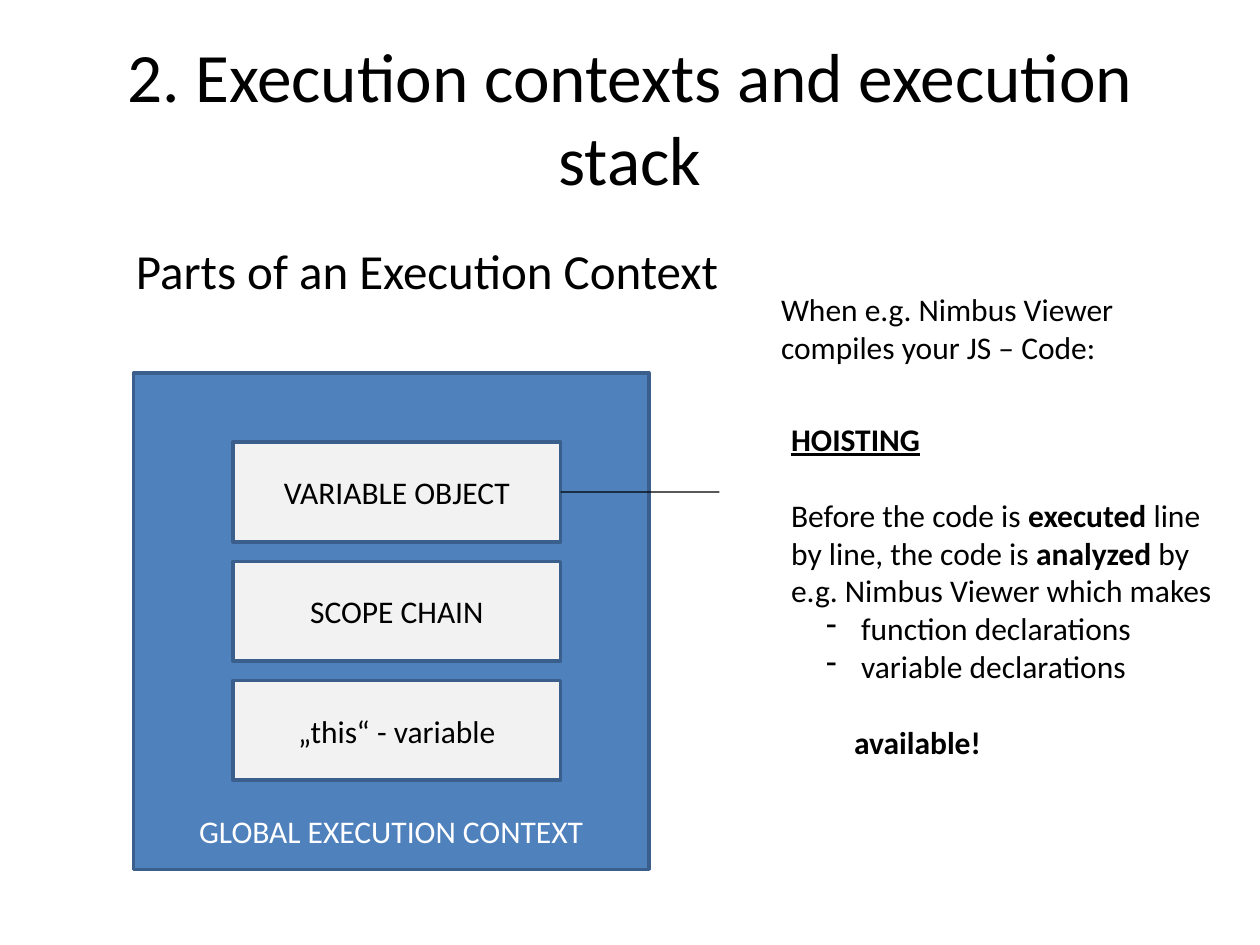
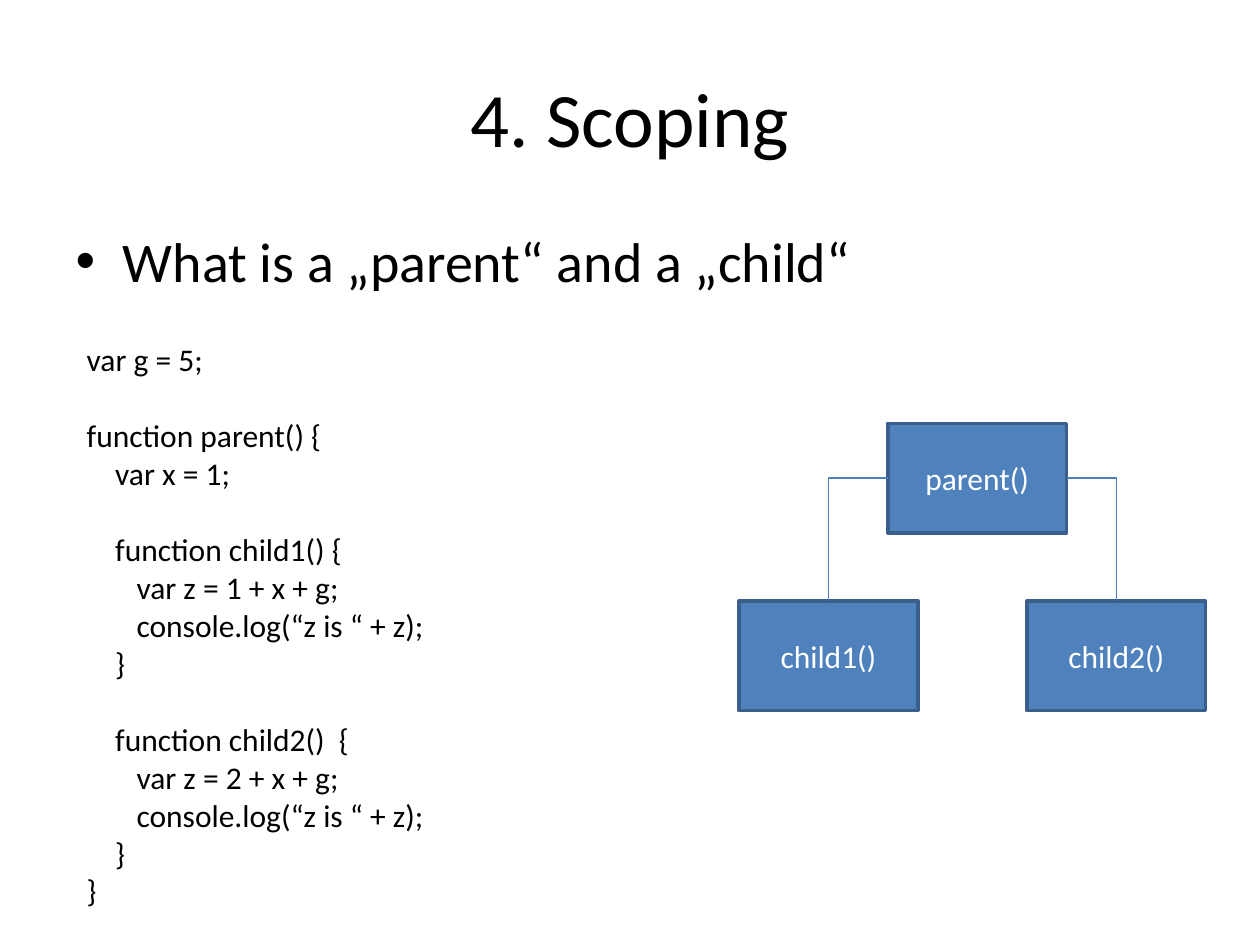
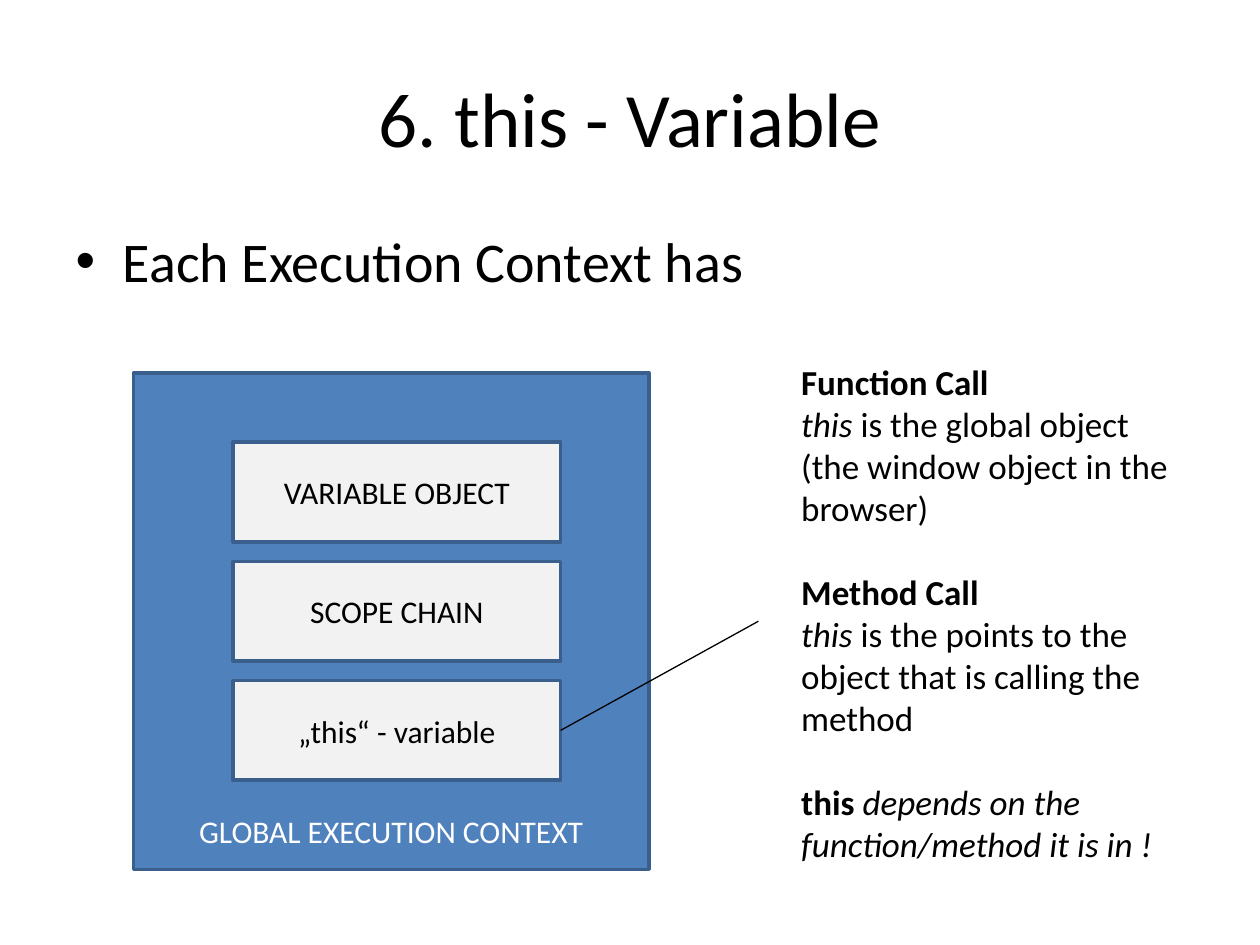
from lxml import etree
from pptx import Presentation
from pptx.dml.color import RGBColor
from pptx.enum.shapes import MSO_CONNECTOR, MSO_SHAPE
from pptx.enum.text import MSO_ANCHOR, MSO_AUTO_SIZE, PP_ALIGN
from pptx.oxml.ns import qn
from pptx.util import Pt

RECT = MSO_SHAPE.RECTANGLE
STRAIGHT, ELBOW = MSO_CONNECTOR.STRAIGHT, MSO_CONNECTOR.ELBOW
MIDDLE, BOTTOM = MSO_ANCHOR.MIDDLE, MSO_ANCHOR.BOTTOM
CENTER = PP_ALIGN.CENTER
NO_FIT, GROW = MSO_AUTO_SIZE.NONE, MSO_AUTO_SIZE.SHAPE_TO_FIT_TEXT
TOP, LEFT, RIGHT = 0, 1, 3

FONT = "Calibri"
COLORS = {"ink": "000000", "white": "FFFFFF", "blue": "4F81BD",
          "edge": "3A5F8C", "pale": "F2F2F2", "link": "4B7EBC"}
TITLE_ONLY, LIST = 5, 1


def rgb(name):
    return RGBColor.from_string(COLORS[name])


def para(*parts, gap=0, left=0, hang=0):
    """Parts are plain strings or (text, marks), marks out of b, i and u."""
    return parts, gap, left, hang


class Deck:
    def __init__(self):
        self.prs = Presentation()
        self.prs.slide_width, self.prs.slide_height = Pt(720), Pt(540)
        self.slide = None

    def style(self, par, size, color="ink"):
        for run in par.runs:
            run.font.name, run.font.size = FONT, Pt(size)
            run.font.color.rgb = rgb(color)

    def place(self, shape, x, y, w, h):
        shape.left, shape.top, shape.width, shape.height = map(Pt, (x, y, w, h))

    def start(self, layout, title, size=44):
        self.slide = self.prs.slides.add_slide(self.prs.slide_layouts[layout])
        head = self.slide.shapes.title
        self.place(head, 36, 21.6, 648, 90)
        frame = head.text_frame
        frame.text, frame.auto_size = title, NO_FIT
        frame.vertical_anchor = MIDDLE
        frame.paragraphs[0].alignment = CENTER
        self.style(frame.paragraphs[0], size)

    def body(self, text, height):
        item = self.slide.placeholders[1]
        self.place(item, 36, 126, 648, height)
        item.text_frame.text, item.text_frame.auto_size = text, NO_FIT
        self.style(item.text_frame.paragraphs[0], 32)

    def text(self, x, y, w, h, paras, size=18):
        box = self.slide.shapes.add_textbox(Pt(x), Pt(y), Pt(w), Pt(h))
        frame = box.text_frame
        frame.word_wrap, frame.auto_size = True, GROW
        for num, (parts, gap, left, hang) in enumerate(paras):
            par = frame.add_paragraph() if num else frame.paragraphs[0]
            par.space_before = Pt(gap)
            for part in parts:
                words, marks = (part, "") if isinstance(part, str) else part
                run = par.add_run()
                run.text = words
                run.font.bold, run.font.italic = "b" in marks, "i" in marks
                run.font.underline = "u" in marks
            self.style(par, size)
            self.indent(par, left, hang)

    def indent(self, par, left, hang):
        props = par._p.get_or_add_pPr()
        props.set("marL", str(Pt(left)))
        props.set("indent", str(-Pt(hang)))
        if hang:
            etree.SubElement(props, qn("a:buChar")).set("char", "-")

    def rect(self, x, y, w, h, text, fill="blue", color="white"):
        box = self.slide.shapes.add_shape(RECT, Pt(x), Pt(y), Pt(w), Pt(h))
        box.shadow.inherit = False
        box.fill.solid()
        box.fill.fore_color.rgb = rgb(fill)
        box.line.color.rgb, box.line.width = rgb("edge"), Pt(2)
        frame = box.text_frame
        frame.text, frame.vertical_anchor = text, MIDDLE
        frame.paragraphs[0].alignment = CENTER
        self.style(frame.paragraphs[0], 18, color)
        return box

    def line(self, box, side, x=0, y=0, goal=None, color="ink"):
        """Lead from a box to a point, or bend to the top of the goal box."""
        kind = ELBOW if goal else STRAIGHT
        link = self.slide.shapes.add_connector(kind, 0, 0, Pt(x), Pt(y))
        link.begin_connect(box, side)
        if goal:
            link.end_connect(goal, TOP)
            geom = link._element.spPr.find(qn("a:prstGeom"))
            geom.set("prst", "bentConnector2")
        link.line.color.rgb, link.line.width = rgb(color), Pt(0.75)
        etree.SubElement(link._element.spPr, qn("a:effectLst"))

    def context(self):
        """Draw the global context with its three parts."""
        frame = self.rect(76.3, 213.1, 294.5, 283.7, "GLOBAL EXECUTION CONTEXT")
        frame.text_frame.vertical_anchor = BOTTOM
        frame.text_frame.margin_bottom = Pt(11)
        names = ("VARIABLE OBJECT", "SCOPE CHAIN", "„this“ - variable")
        return [self.rect(133.2, 252.7 + 68.1 * row, 187.2, 56.9, name,
                          "pale", "ink") for row, name in enumerate(names)]


def stack(deck):
    deck.start(TITLE_ONLY, "2. Execution contexts and execution stack", 39.6)
    deck.text(70.6, 133.9, 510.5, 41, [para("Parts of an Execution Context")], 28)
    store = deck.context()[0]
    deck.line(store, RIGHT, 411.1, 281.2)
    deck.text(445, 236.2, 254.9, 225.4, [
        para(("HOISTING", "bu")),
        para("Before the code is", (" executed ", "b"),
             "line by line, the code is ", ("analyzed", "b"),
             " by e.g. Nimbus Viewer which makes", gap=22),
        para("function declarations", left=40, hang=20),
        para("variable declarations", left=40, hang=20),
        para(("available!", "b"), gap=22, left=36)])
    deck.text(439.2, 162, 272.2, 51.1, [
        para("When e.g. Nimbus Viewer compiles your JS – Code:")])


def scope(deck):
    deck.start(LIST, "4. Scoping")
    deck.body("What is a „parent“ and a „child“", 47.5)
    # Code: text, indent, gap above
    code = [("var g = 5;", 0, 0), ("function parent() {", 0, 22),
            ("var x = 1;", 16.3, 0)]
    for num, brace in ((1, " {"), (2, "  {")):
        code += [(f"function child{num}(){brace}", 16.3, 22),
                 (f"var z = {num} + x + g;", 28.5, 0),
                 ("console.log(“z is “ + z);", 28.5, 0),
                 ("}", 16.3, 0)]
    code.append(("}", 0, 0))
    deck.text(42.5, 190.8, 374.4, 334.1,
              [para(words, left=left, gap=gap) for words, left, gap in code])
    # Tree
    root = deck.rect(507.3, 241.9, 102.2, 62.6, "parent()")
    kids = [deck.rect(x, 343.4, 102.2, 62.6, name)
            for x, name in ((422.3, "child1()"), (586.8, "child2()"))]
    for side, kid in zip((LEFT, RIGHT), kids):
        deck.line(root, side, goal=kid, color="link")


def this(deck):
    deck.start(LIST, "6. this - Variable")
    deck.body("Each Execution Context has", 356.4)
    last = deck.context()[2]
    deck.line(last, RIGHT, 433.4, 355)
    deck.text(450.7, 202.3, 244.1, 298.1, [
        para(("Function Call", "b")),
        para(("this ", "i"), "is the global object"),
        para("(the window object in the browser)"),
        para(("Method Call", "b"), gap=24),
        para(("this ", "i"),
             "is the points to the object that is calling the method"),
        para(("this ", "b"),
             ("depends on the function/method it is in !", "i"), gap=24)], 20)


def main():
    deck = Deck()
    for build in (stack, scope, this):
        build(deck)
    deck.prs.save("out.pptx")


if __name__ == "__main__":
    main()
